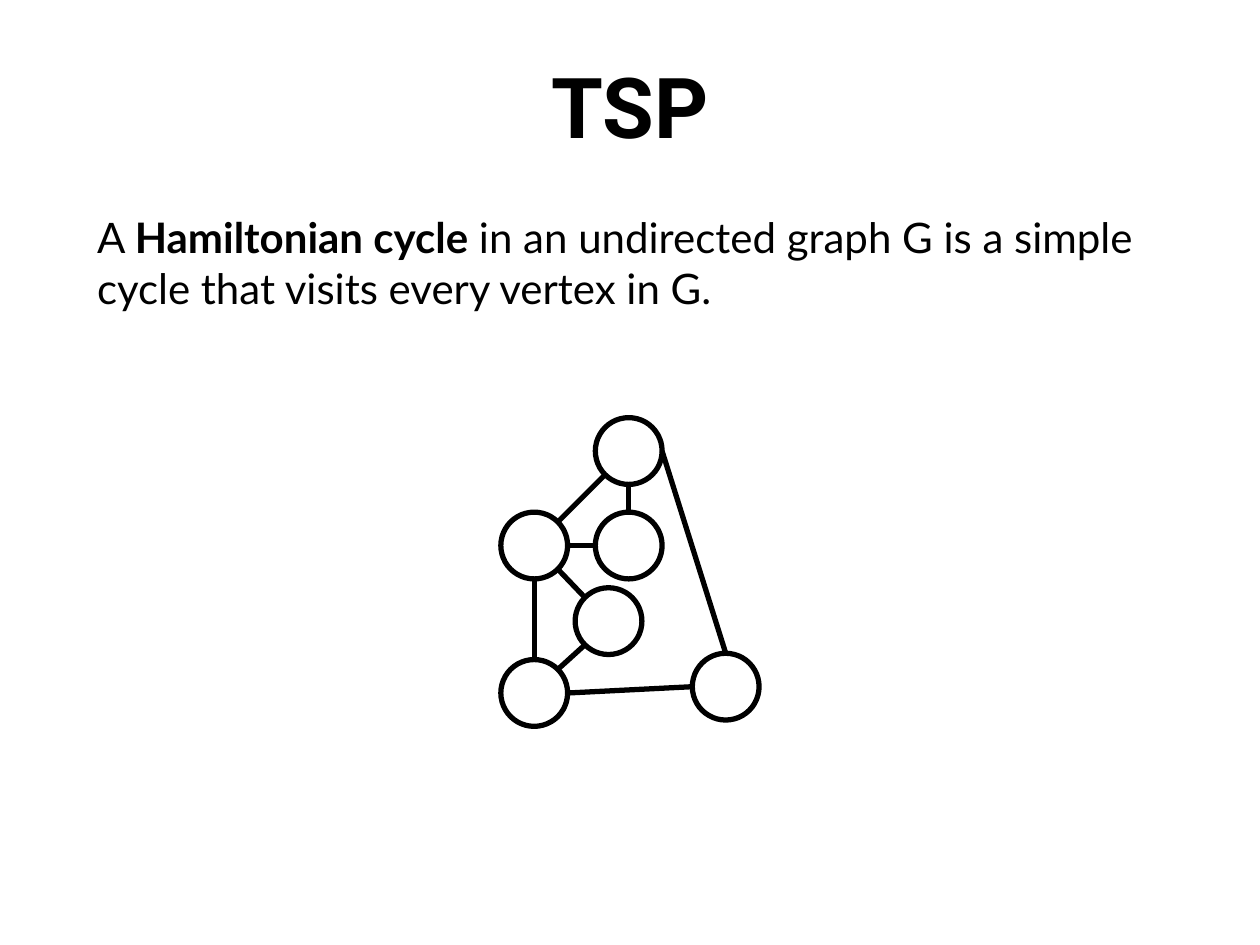
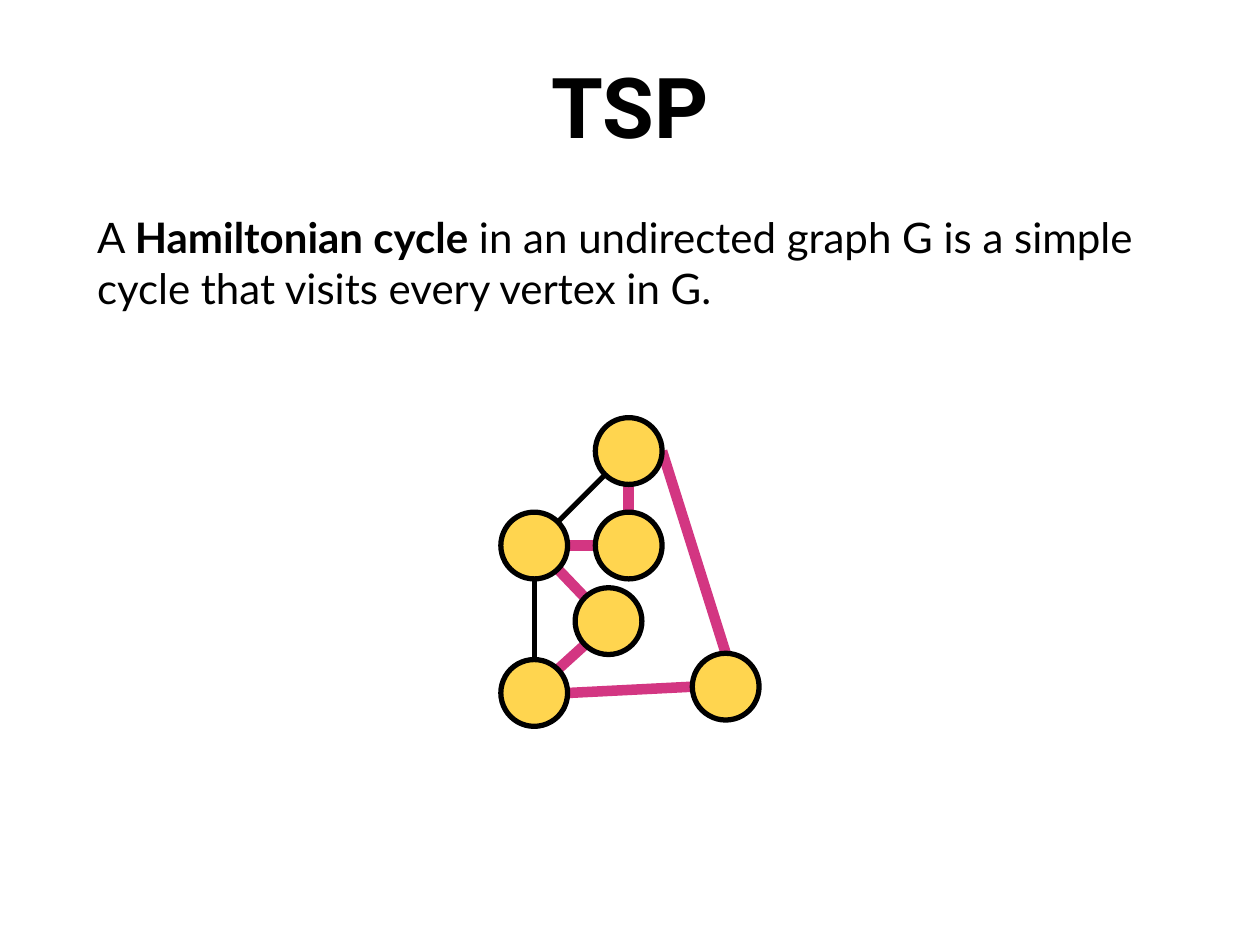
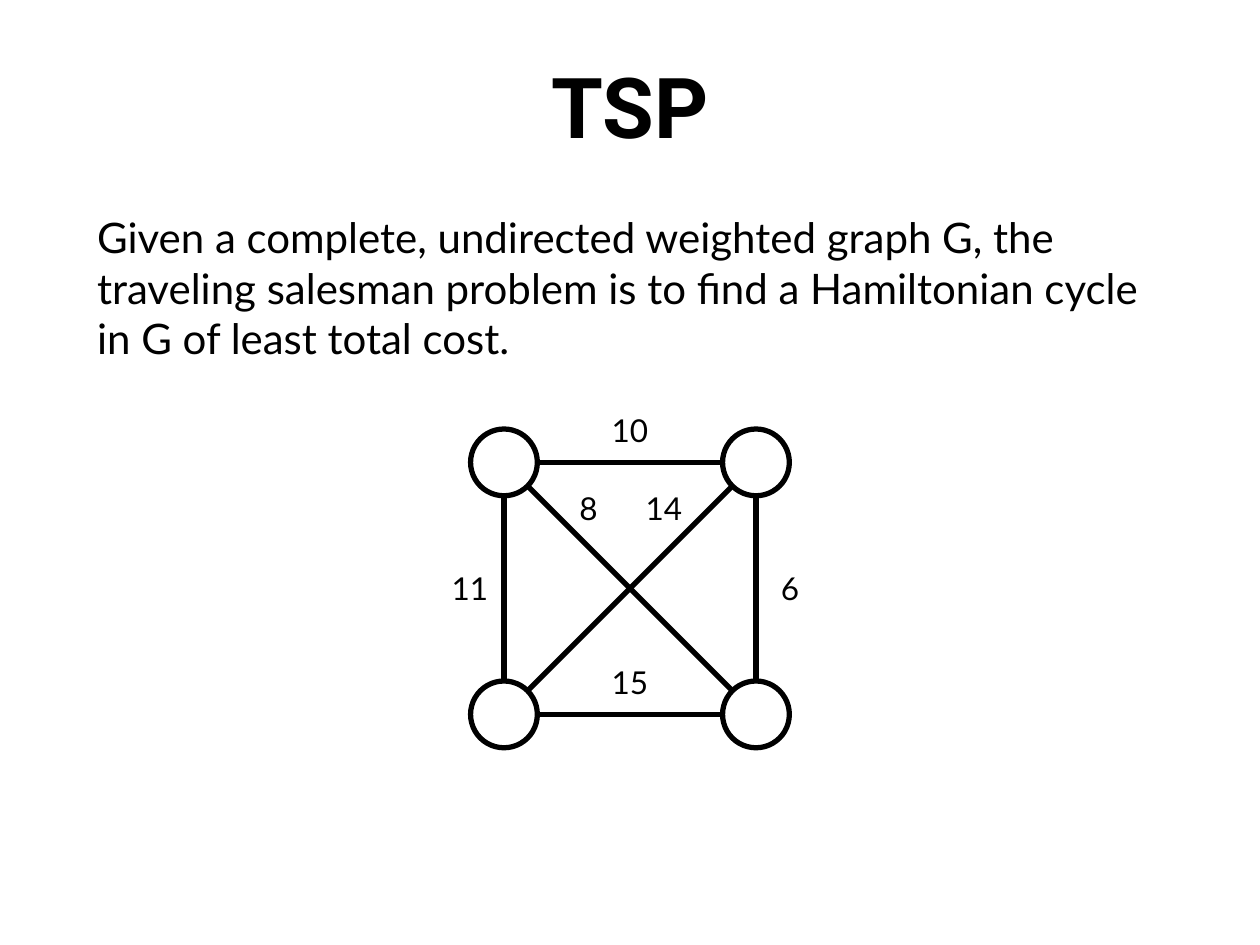
import math
from typing import NamedTuple

import pptx
import pptx.dml.color
import pptx.enum.shapes
import pptx.enum.text
import pptx.oxml.ns
import pptx.util
from lxml import etree
from pptx.util import Inches

BLACK, YELLOW, MAGENTA = "000000", "FFD54F", "D33682"
TITLE_FONT, BODY_FONT = "Roboto", "Lato"
DIAMETER = 0.53
THIN, THICK = 3, 6
# Clockwise angles in degrees of the points where edges meet a node
PORTS = {"E": 0, "SE": 45, "S": 90, "SW": 135, "W": 180, "NW": 225, "N": 270, "NE": 315}


class Node(NamedTuple):
    x: float
    y: float


class Edge(NamedTuple):
    start: str
    start_port: str
    end: str
    end_port: str
    on_cycle: bool = True


class Weight(NamedTuple):
    text: str
    x: float
    y: float


class Run(NamedTuple):
    text: str
    bold: bool = False


CYCLE_NODES = {
    "top": Node(4.99, 3.58),
    "left": Node(4.24, 4.33),
    "centre": Node(4.99, 4.33),
    "inner": Node(4.83, 4.93),
    "bottom": Node(4.24, 5.5),
    "right": Node(5.76, 5.45),
}
CYCLE_EDGES = [
    Edge("top", "E", "right", "N"),
    Edge("left", "E", "centre", "W"),
    Edge("centre", "N", "top", "S"),
    Edge("left", "SE", "inner", "NW"),
    Edge("inner", "SW", "bottom", "NE"),
    Edge("right", "W", "bottom", "E"),
    Edge("top", "SW", "left", "NE", on_cycle=False),
    Edge("left", "S", "bottom", "N", on_cycle=False),
]
SQUARE_NODES = {
    row + column: Node(x, y)
    for row, y in (("top", 3.67), ("bottom", 5.67))
    for column, x in (("left", 4), ("right", 6))
}
SQUARE_EDGES = [
    Edge("topright", "SW", "bottomleft", "NE"),
    Edge("bottomright", "NW", "topleft", "SE"),
    Edge("topright", "W", "topleft", "E"),
    Edge("bottomleft", "N", "topleft", "S"),
    Edge("bottomleft", "E", "bottomright", "W"),
    Edge("bottomright", "N", "topright", "S"),
]
WEIGHTS = [
    Weight("10", 5, 3.41),
    Weight("11", 3.73, 4.67),
    Weight("8", 4.67, 4.03),
    Weight("14", 5.27, 4.03),
    Weight("6", 6.27, 4.67),
    Weight("15", 5, 5.41),
]
HAMILTONIAN = [
    Run("A "),
    Run("Hamiltonian cycle", bold=True),
    Run(" in an undirected graph G is a simple cycle that visits every vertex in G."),
]
PROBLEM = [
    Run("Given a complete, undirected weighted graph G, the traveling salesman problem "
        "is to find a Hamiltonian cycle in G of least total cost."),
]


def rgb(colour: str) -> pptx.dml.color.RGBColor:
    return pptx.dml.color.RGBColor.from_string(colour)


def write(sp, runs: list[Run], font: str, size: int, align: str = "LEFT", anchor: str = "TOP") -> None:
    """Fill a shape with one paragraph of unbulleted text."""
    tf = sp.text_frame
    frame_format = {
        "word_wrap": True,
        "auto_size": pptx.enum.text.MSO_AUTO_SIZE.NONE,
        "vertical_anchor": pptx.enum.text.MSO_ANCHOR[anchor],
    }
    margins = ("margin_left", "margin_top", "margin_right", "margin_bottom")
    frame_format.update(dict.fromkeys(margins, Inches(0.1)))
    for name, value in frame_format.items():
        setattr(tf, name, value)
    p = tf.paragraphs[0]
    p.alignment = pptx.enum.text.PP_ALIGN[align]
    p.space_before = pptx.util.Pt(0)
    pPr = p._p.get_or_add_pPr()
    pPr.set("marL", "0")
    pPr.set("indent", "0")
    etree.SubElement(pPr, pptx.oxml.ns.qn("a:buNone"))
    for run in runs:
        r = p.add_run()
        r.text = run.text
        for name, value in {"name": font, "size": pptx.util.Pt(size), "bold": run.bold}.items():
            setattr(r.font, name, value)
        r.font.color.rgb = rgb(BLACK)


def place(sp, left: float, top: float, width: float, height: float) -> None:
    for name, value in {"left": left, "top": top, "width": width, "height": height}.items():
        setattr(sp, name, Inches(value))


def add_tsp_slide(prs, body: list[Run]):
    s = prs.slides.add_slide(prs.slide_layouts[1])
    title, text = s.placeholders
    place(title, 0, 0.33, 10, 1.25)
    write(title, [Run("TSP", bold=True)], TITLE_FONT, 48, align="CENTER")
    place(text, 0.67, 1.58, 8.67, 5.92)
    write(text, body, BODY_FONT, 24)
    return s


def box(x: float, y: float) -> tuple:
    """Return the node-sized square centred on a point."""
    return (Inches(x - DIAMETER / 2), Inches(y - DIAMETER / 2), Inches(DIAMETER), Inches(DIAMETER))


def port(node: Node, name: str) -> tuple:
    angle = math.radians(PORTS[name])
    return (Inches(node.x + DIAMETER / 2 * math.cos(angle)),
            Inches(node.y + DIAMETER / 2 * math.sin(angle)))


def draw_graph(shapes, nodes: dict[str, Node], edges: list[Edge], highlight: bool = False) -> None:
    for edge in edges:
        marked = highlight and edge.on_cycle
        line = shapes.add_connector(
            pptx.enum.shapes.MSO_CONNECTOR.STRAIGHT,
            *port(nodes[edge.start], edge.start_port),
            *port(nodes[edge.end], edge.end_port))
        line.line.color.rgb = rgb(MAGENTA if marked else BLACK)
        line.line.width = pptx.util.Pt(THICK if marked else THIN)
        etree.SubElement(line._element.spPr, pptx.oxml.ns.qn("a:effectLst"))
    for node in nodes.values():
        sp = shapes.add_shape(pptx.enum.shapes.MSO_SHAPE.OVAL, *box(*node))
        sp.shadow.inherit = False
        sp.line.color.rgb = rgb(BLACK)
        sp.line.width = pptx.util.Pt(THIN)
        if highlight:
            sp.fill.solid()
            sp.fill.fore_color.rgb = rgb(YELLOW)
        else:
            sp.fill.background()


def draw_weights(shapes, weights: list[Weight]) -> None:
    for weight in weights:
        sp = shapes.add_textbox(*box(weight.x, weight.y))
        write(sp, [Run(weight.text)], BODY_FONT, 18, align="CENTER", anchor="MIDDLE")


def main() -> None:
    prs = pptx.Presentation()
    prs.slide_width, prs.slide_height = Inches(10), Inches(7.5)

    for highlight in (False, True):
        s = add_tsp_slide(prs, HAMILTONIAN)
        draw_graph(s.shapes, CYCLE_NODES, CYCLE_EDGES, highlight)

    s = add_tsp_slide(prs, PROBLEM)
    group = s.shapes.add_group_shape()
    draw_graph(group.shapes, SQUARE_NODES, SQUARE_EDGES)
    draw_weights(group.shapes, WEIGHTS)

    prs.save("out.pptx")


if __name__ == "__main__":
    main()
